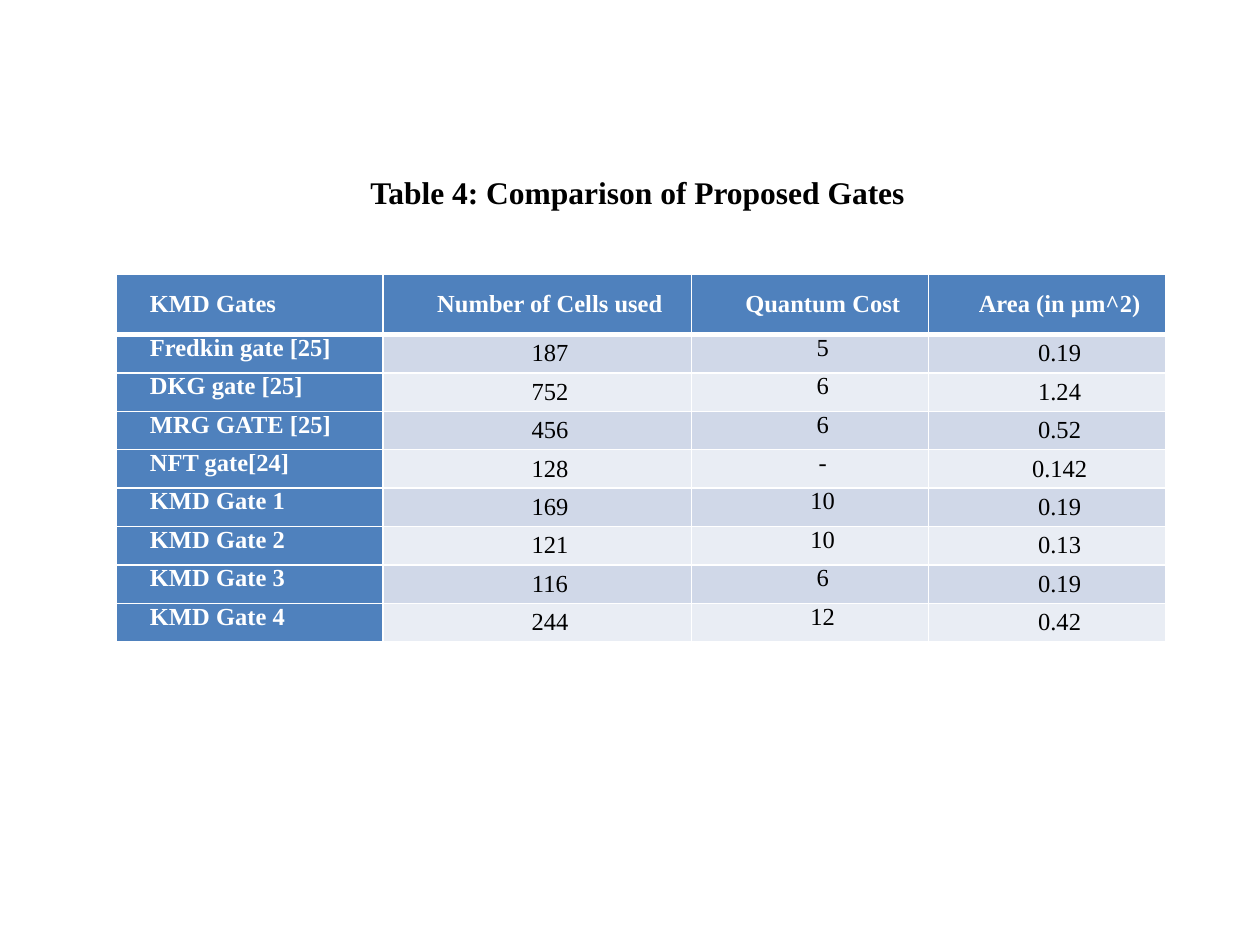
import dataclasses

import pptx
import pptx.dml.color
import pptx.enum.text
import pptx.oxml
import pptx.oxml.ns
import pptx.util

ALIGN = pptx.enum.text.PP_ALIGN
ANCHOR = pptx.enum.text.MSO_ANCHOR
FONT = "Times New Roman"
COLORS = {"ink": "000000", "rule": "FFFFFF", "light": "FFFFFF",
          "header": "4F81BD", "odd": "D0D8E8", "even": "E9EDF4"}
SLIDE_W, SLIDE_H = 10, 7.5


@dataclasses.dataclass(frozen=True)
class Column:
    heading: str
    width: float
    align: int
    anchor: int


@dataclasses.dataclass(frozen=True)
class Gate:
    name: str
    cells_used: str
    quantum_cost: str
    area: str


COLUMNS = [
    Column("KMD Gates", 2.12, ALIGN.JUSTIFY, ANCHOR.TOP),
    Column("Number of Cells used", 2.45, ALIGN.CENTER, ANCHOR.MIDDLE),
    Column("Quantum Cost", 1.88, ALIGN.CENTER, ANCHOR.TOP),
    Column("Area (in µm^2)", 1.88, ALIGN.CENTER, ANCHOR.MIDDLE),
]
GATES = [
    Gate("Fredkin gate [25]", "187", "5", "0.19"),
    Gate("DKG gate [25]", "752", "6", "1.24"),
    Gate("MRG GATE [25]", "456", "6", "0.52"),
    Gate("NFT gate[24]", "128", "-", "0.142"),
    Gate("KMD Gate 1", "169", "10", "0.19"),
    Gate("KMD Gate 2", "121", "10", "0.13"),
    Gate("KMD Gate 3", "116", "6", "0.19"),
    Gate("KMD Gate 4", "244", "12", "0.42"),
]
HEADER_H, TABLE_H = 0.48, 2.92
GATE_H = (TABLE_H - HEADER_H) / len(GATES)
FIRST_LINE = 0.2
CELL_FORMAT = {"margin_left": pptx.util.Inches(0.07), "margin_right": pptx.util.Inches(0.07),
               "margin_top": 0, "margin_bottom": 0}


def rgb(key: str) -> pptx.dml.color.RGBColor:
    return pptx.dml.color.RGBColor.from_string(COLORS[key])


def write(paragraph, text: str, size: int, color: str, bold: bool) -> None:
    run = paragraph.add_run()
    run.text = text
    for name, value in {"name": FONT, "size": pptx.util.Pt(size), "bold": bold}.items():
        setattr(run.font, name, value)
    run.font.color.rgb = rgb(color)


def rule_cell(cell, row: int) -> None:
    """Thin rules all round, with a thick one under the header."""
    thick_side = {0: "B", 1: "T"}.get(row)
    properties = cell._tc.get_or_add_tcPr()
    for place, side in enumerate("LRTB"):
        width = pptx.util.Pt(3 if side == thick_side else 1)
        properties.insert(place, pptx.oxml.parse_xml(
            f'<a:ln{side} {pptx.oxml.ns.nsdecls("a")} w="{width}"><a:solidFill>'
            f'<a:srgbClr val="{COLORS["rule"]}"/></a:solidFill></a:ln{side}>'))


def fill_cell(cell, text: str, row: int, column: int) -> None:
    heading = row == 0 or column == 0
    for name, value in CELL_FORMAT.items():
        setattr(cell, name, value)
    cell.vertical_anchor = ANCHOR.MIDDLE if row == 0 else COLUMNS[column].anchor
    cell.fill.solid()
    cell.fill.fore_color.rgb = rgb("header" if heading else "odd" if row % 2 else "even")
    rule_cell(cell, row)
    paragraph = cell.text_frame.paragraphs[0]
    paragraph.alignment = COLUMNS[column].align
    paragraph._p.get_or_add_pPr().set("indent", str(pptx.util.Inches(FIRST_LINE)))
    write(paragraph, text, 14, "light" if heading else "ink", heading)


def add_title(slide, text: str) -> None:
    title = slide.shapes.add_textbox(
        pptx.util.Inches(0.284 * SLIDE_W), pptx.util.Inches(0.177 * SLIDE_H),
        pptx.util.Inches(0.449 * SLIDE_W), pptx.util.Inches(0.4))
    title.text_frame.word_wrap = False
    title.text_frame.auto_size = pptx.enum.text.MSO_AUTO_SIZE.SHAPE_TO_FIT_TEXT
    write(title.text_frame.paragraphs[0], text, 18, "ink", True)


def add_gate_table(slide) -> None:
    rows = [[column.heading for column in COLUMNS]]
    rows += [dataclasses.astuple(gate) for gate in GATES]
    table = slide.shapes.add_table(
        len(rows), len(COLUMNS),
        pptx.util.Inches(0.092 * SLIDE_W), pptx.util.Inches(0.29 * SLIDE_H),
        pptx.util.Inches(sum(column.width for column in COLUMNS)),
        pptx.util.Inches(TABLE_H)).table
    for grid_column, column in zip(table.columns, COLUMNS):
        grid_column.width = pptx.util.Inches(column.width)
    for r, texts in enumerate(rows):
        table.rows[r].height = pptx.util.Inches(GATE_H if r else HEADER_H)
        for c, text in enumerate(texts):
            fill_cell(table.cell(r, c), text, r, c)


def main() -> None:
    deck = pptx.Presentation()
    deck.slide_width = pptx.util.Inches(SLIDE_W)
    deck.slide_height = pptx.util.Inches(SLIDE_H)
    slide = deck.slides.add_slide(deck.slide_layouts[6])
    add_title(slide, "Table 4: Comparison of Proposed Gates")
    add_gate_table(slide)
    deck.save("out.pptx")


if __name__ == "__main__":
    main()
